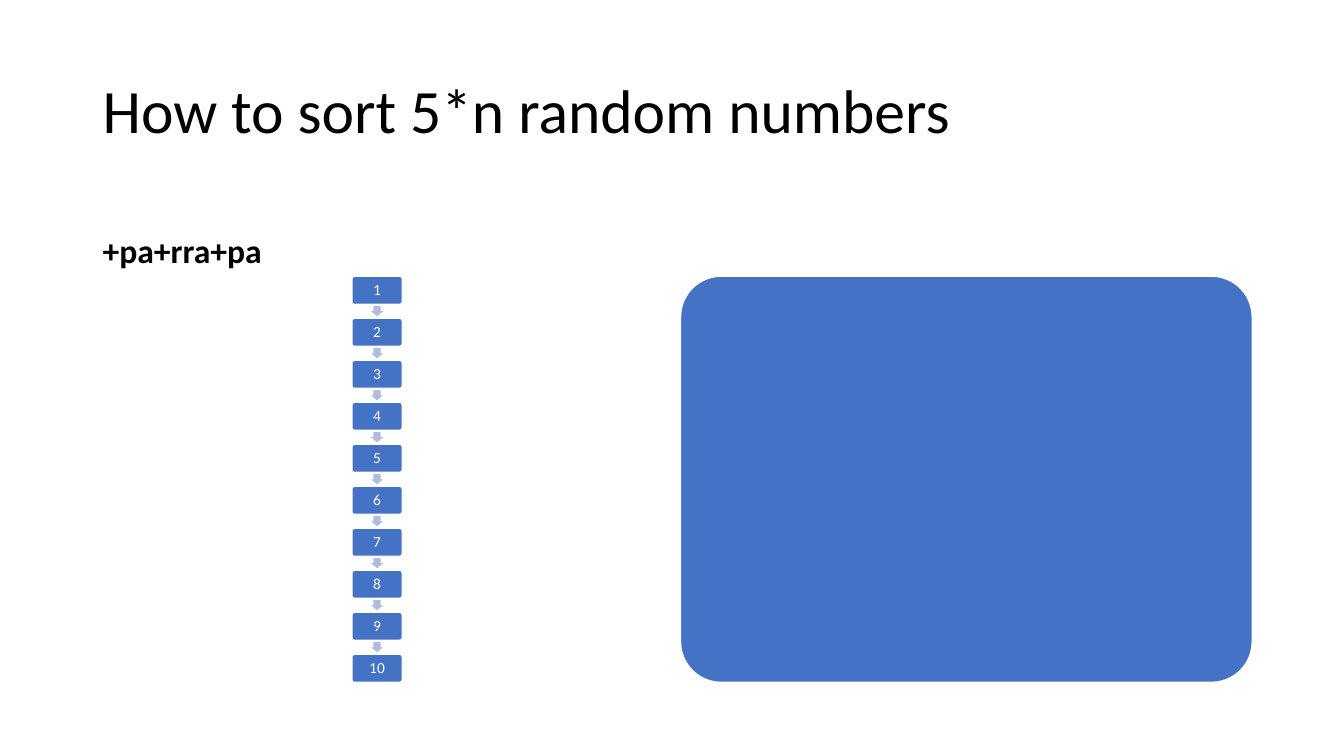
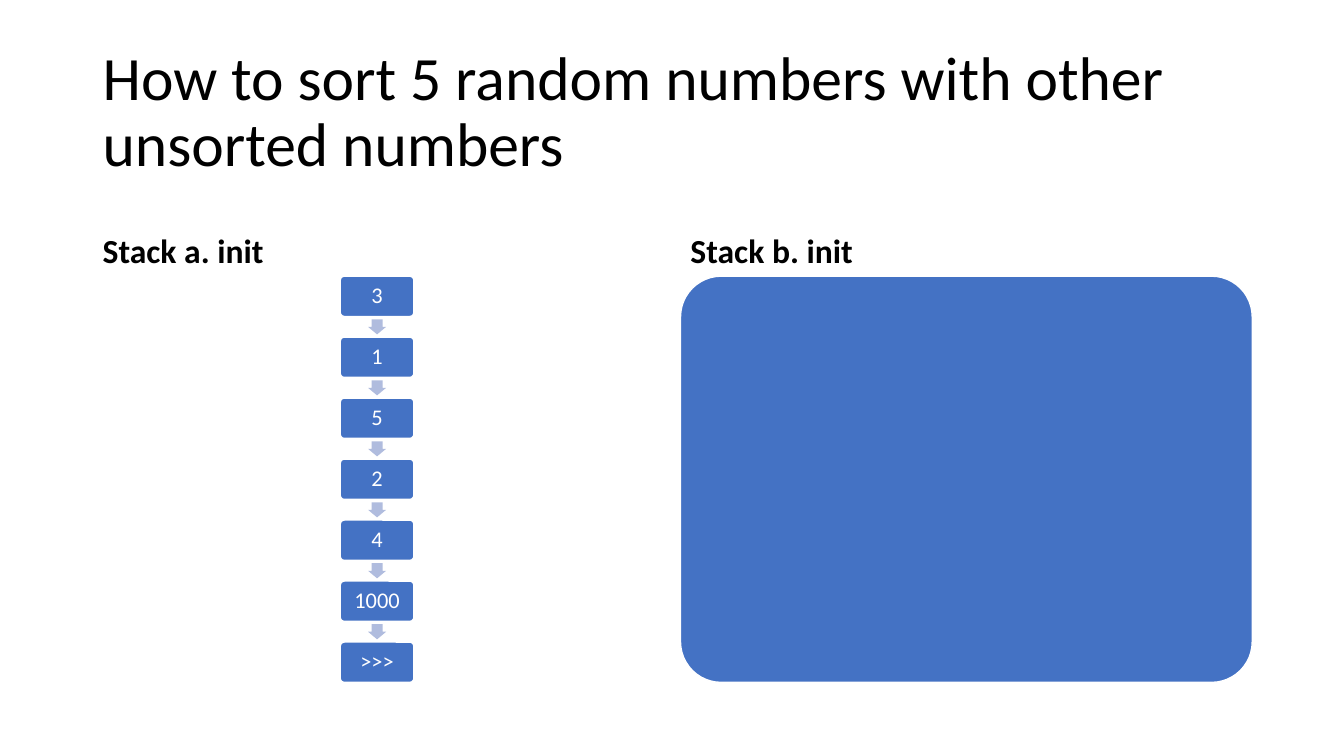
from pptx import Presentation
from pptx.dml.color import RGBColor
from pptx.enum.shapes import MSO_SHAPE as SHAPE
from pptx.enum.text import MSO_ANCHOR as ANCHOR, PP_ALIGN as ALIGN
from pptx.util import Pt

PX = 9144  # EMU, 100 px to the inch
BLACK = RGBColor(0x00, 0x00, 0x00)
WHITE = RGBColor(0xFF, 0xFF, 0xFF)
BLUE = RGBColor(0x44, 0x72, 0xC4)
PALE_BLUE = RGBColor(0xB0, 0xBC, 0xDE)

TITLE_AREA = (92, 40, 1150, 145)
HEADING_AREAS = [(92, 184, 564, 90), (675, 184, 567, 90)]
STACK_B_AREA = (675, 274, 567, 403)
STACK_TOP, STACK_HEIGHT, STACK_CENTER = 274, 403, 374

TITLE = {"size": Pt(44), "bold": False}
HEADING = {"size": Pt(24), "bold": True}

SMALL = {"box": (50, 28), "arrow": (12, 10), "font": {"size": Pt(11)}}
LARGE = {"box": (73, 40), "arrow": (18, 15), "font": {"size": Pt(16)}}

SLIDES = [
    ("How to sort 5*n random numbers", ["+pa+rra+pa"],
     [str(number) for number in range(1, 11)], SMALL),
    ("How to sort 5 random numbers with other unsorted numbers",
     ["Stack a. init", "Stack b. init"],
     ["3", "1", "5", "2", "4", "1000", ">>>"], LARGE),
]


def write(holder, text, anchor, color, font_format, align=ALIGN.LEFT):
    frame = holder.text_frame
    frame.word_wrap = True
    frame.vertical_anchor = anchor
    paragraph = frame.paragraphs[0]
    paragraph.text = text
    paragraph.alignment = align
    paragraph.line_spacing = 0.9
    font = paragraph.runs[0].font
    font.name = "Calibri"
    font.color.rgb = color
    for attribute, value in font_format.items():
        setattr(font, attribute, value)


def add_block(slide, preset, area, fill, adjustments):
    """Add a filled shape: white outline for boxes, none for arrows."""
    block = slide.shapes.add_shape(preset, *(round(n * PX) for n in area))
    block.shadow.inherit = False
    block.fill.solid()
    block.fill.fore_color.rgb = fill
    for index, value in enumerate(adjustments):
        block.adjustments[index] = value
    if preset == SHAPE.ROUNDED_RECTANGLE:
        block.line.color.rgb = WHITE
        block.line.width = Pt(1)
    else:
        block.line.fill.background()
    return block


prs = Presentation()
prs.slide_width = 1333 * PX
prs.slide_height = 750 * PX

for title, headings, values, scale in SLIDES:
    slide = prs.slides.add_slide(prs.slide_layouts[6])
    title_box = slide.shapes.add_textbox(*(n * PX for n in TITLE_AREA))
    write(title_box, title, ANCHOR.MIDDLE, BLACK, TITLE)

    for heading, area in zip(headings, HEADING_AREAS):
        heading_box = slide.shapes.add_textbox(*(n * PX for n in area))
        write(heading_box, heading, ANCHOR.BOTTOM, BLACK, HEADING)

    width, height = scale["box"]
    arrow_width, arrow_height = scale["arrow"]
    step = (STACK_HEIGHT - height) / (len(values) - 1)
    for index, value in enumerate(values):
        top = STACK_TOP + index * step
        box = add_block(slide, SHAPE.ROUNDED_RECTANGLE,
                        (STACK_CENTER - width / 2, top, width, height), BLUE, [0.1])
        for side in ("left", "top", "right", "bottom"):
            setattr(box.text_frame, f"margin_{side}", 0)
        write(box, value, ANCHOR.MIDDLE, WHITE, scale["font"], ALIGN.CENTER)
        if index < len(values) - 1:
            arrow_top = top + (height + step - arrow_height) / 2
            add_block(slide, SHAPE.DOWN_ARROW,
                      (STACK_CENTER - arrow_width / 2, arrow_top, arrow_width, arrow_height),
                      PALE_BLUE, [0.6, 0.5])

    add_block(slide, SHAPE.ROUNDED_RECTANGLE, STACK_B_AREA, BLUE, [0.1])

prs.save("out.pptx")
